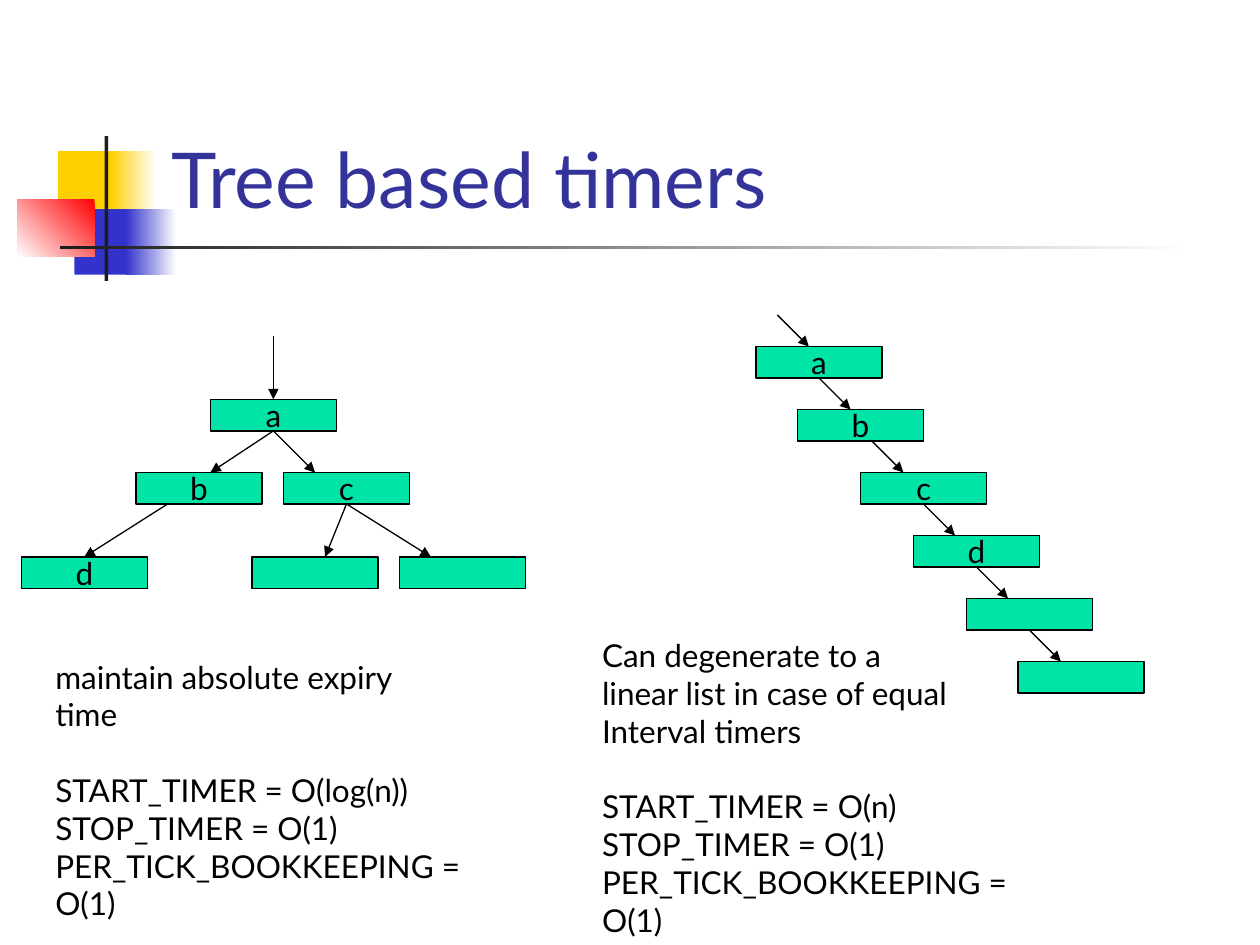
import pptx
import pptx.dml.color
import pptx.enum.shapes
import pptx.enum.text
import pptx.oxml
import pptx.oxml.ns
import pptx.util
from pptx.util import Inches

RGBColor = pptx.dml.color.RGBColor
WHITE = RGBColor(0xFF, 0xFF, 0xFF)
BLACK = RGBColor(0x00, 0x00, 0x00)
YELLOW = RGBColor(0xFF, 0xCF, 0x01)
BLUE = RGBColor(0x33, 0x33, 0xCC)
RED = RGBColor(0xFF, 0x00, 0x00)
CHARCOAL = RGBColor(0x1C, 0x1C, 0x1C)
TITLE_BLUE = RGBColor(0x33, 0x33, 0x99)
NODE_GREEN = RGBColor(0x00, 0xE4, 0xA8)

FONT = "Lato"
TEXT_SIZE = pptx.util.Pt(18)
LINE_WIDTH = pptx.util.Pt(0.75)
BLANK_LINE = pptx.util.Pt(21.6)
NODE_WIDTH, NODE_HEIGHT = 1, 0.25


def set_font(paragraph, size, color):
    paragraph.font.name = FONT
    paragraph.font.size = size
    paragraph.font.color.rgb = color


def add_rectangle(slide, left, top, width, height):
    rectangle = slide.shapes.add_shape(
        pptx.enum.shapes.MSO_SHAPE.RECTANGLE,
        Inches(left), Inches(top), Inches(width), Inches(height))
    rectangle.shadow.inherit = False
    return rectangle


def add_ornament(slide, left, top):
    """Overlapping squares and crossing bars beside the title."""
    parts = [  # x, y, width, height, start colour, end colour, angle
        (0.32, 0.12, 0.48, 0.52, YELLOW, None, None),
        (0.74, 0.12, 0.36, 0.52, WHITE, YELLOW, 180),
        (0.45, 0.58, 0.46, 0.52, BLUE, None, None),
        (0.86, 0.58, 0.40, 0.52, WHITE, BLUE, 180),
        (0.00, 0.50, 0.61, 0.46, RED, WHITE, 225),
        (0.69, 0.00, 0.03, 1.15, CHARCOAL, None, None),
        (0.34, 0.87, 9.00, 0.03, WHITE, CHARCOAL, 180),
    ]
    for x, y, width, height, start, end, angle in parts:
        part = add_rectangle(slide, left + x, top + y, width, height)
        part.line.fill.background()
        if end is None:
            part.fill.solid()
            part.fill.fore_color.rgb = start
        else:
            part.fill.gradient()
            part.fill.gradient_angle = angle
            for stop, color in zip(part.fill.gradient_stops, (start, end)):
                stop.color.rgb = color


def add_title(slide, left, top, width, height):
    title = slide.shapes.title
    title.left, title.top = Inches(left), Inches(top)
    title.width, title.height = Inches(width), Inches(height)
    frame = title.text_frame
    frame.text = "Tree based timers"
    frame.vertical_anchor = pptx.enum.text.MSO_ANCHOR.BOTTOM
    frame.paragraphs[0].alignment = pptx.enum.text.PP_ALIGN.LEFT
    set_font(frame.paragraphs[0], pptx.util.Pt(44), TITLE_BLUE)


def add_node(slide, left, top, label):
    node = add_rectangle(slide, left, top, NODE_WIDTH, NODE_HEIGHT)
    node.fill.solid()
    node.fill.fore_color.rgb = NODE_GREEN
    node.line.color.rgb = BLACK
    node.line.width = LINE_WIDTH
    if label:
        frame = node.text_frame
        frame.text = label
        frame.word_wrap = False
        frame.vertical_anchor = pptx.enum.text.MSO_ANCHOR.MIDDLE
        frame.paragraphs[0].alignment = pptx.enum.text.PP_ALIGN.CENTER
        set_font(frame.paragraphs[0], TEXT_SIZE, BLACK)


def add_arrow(slide, x1, y1, x2, y2):
    arrow = slide.shapes.add_connector(
        pptx.enum.shapes.MSO_CONNECTOR.STRAIGHT,
        Inches(x1), Inches(y1), Inches(x2), Inches(y2))
    arrow.line.color.rgb = BLACK
    arrow.line.width = LINE_WIDTH
    head = pptx.oxml.parse_xml(
        f'<a:tailEnd {pptx.oxml.ns.nsdecls("a")} type="triangle"/>')
    arrow.line._get_or_add_ln().append(head)
    effects = pptx.oxml.parse_xml(
        f'<a:effectLst {pptx.oxml.ns.nsdecls("a")}/>')
    arrow._element.spPr.append(effects)


def add_balanced_tree(slide, left, top):
    root_y, middle_y, leaf_y = 0.5, 1.08, 1.75
    nodes = [(1.5, root_y, "a"), (0.91, middle_y, "b"), (2.08, middle_y, "c"),
             (1.83, leaf_y, ""), (3, leaf_y, ""), (0, leaf_y, "d")]
    for x, y, label in nodes:
        add_node(slide, left + x, top + y, label)

    root_bottom, middle_bottom = root_y + NODE_HEIGHT, middle_y + NODE_HEIGHT
    branches = [(2, root_bottom, 2.33, middle_y),
                (2, root_bottom, 1.5, middle_y),
                (2.58, middle_bottom, 2.41, leaf_y),
                (2.58, middle_bottom, 3.25, leaf_y),
                (1.16, middle_bottom, 0.5, leaf_y),
                (2, 0, 2, root_y)]
    for x1, y1, x2, y2 in branches:
        add_arrow(slide, left + x1, top + y1, left + x2, top + y2)


def add_degenerate_tree(slide, left, top):
    """Descending chain, each node entered by a diagonal arrow."""
    row_step, arrow_reach = 0.5, 0.25
    chain = [("a", 0, 0.17), ("b", 0.33, 0.5), ("c", 0.83, 0.92),
             ("d", 1.25, 1.33), ("", 1.67, 1.75), ("", 2.08, 2.17)]
    for row, (label, node_x, arrow_x) in enumerate(chain):
        y = top + row * row_step
        add_node(slide, left + node_x, y + arrow_reach, label)
        add_arrow(slide, left + arrow_x, y,
                  left + arrow_x + arrow_reach, y + arrow_reach)


def add_notes_on_cost(slide, left, top, width, height, remark, start_cost):
    box = slide.shapes.add_textbox(
        Inches(left), Inches(top), Inches(width), Inches(height))
    frame = box.text_frame
    frame.word_wrap = True
    costs = [f"START_TIMER = {start_cost}", "STOP_TIMER = O(1)",
             "PER_TICK_BOOKKEEPING = O(1)"]
    frame.text = "\n".join(remark + costs)
    for paragraph in frame.paragraphs:
        set_font(paragraph, TEXT_SIZE, BLACK)
    frame.paragraphs[len(remark)].space_before = BLANK_LINE


def main():
    presentation = pptx.Presentation()
    presentation.slide_width = Inches(10)
    presentation.slide_height = Inches(7.5)
    slide = presentation.slides.add_slide(presentation.slide_layouts[5])

    add_ornament(slide, 0.14, 1.08)
    add_title(slide, 1.26, 0.23, 8.52, 1.6)
    add_balanced_tree(slide, 0.17, 2.67)
    add_degenerate_tree(slide, 6, 2.5)
    add_notes_on_cost(slide, 0.34, 5.17, 3.91, 1.9,
                      ["maintain absolute expiry", "time"], "O(log(n))")
    add_notes_on_cost(slide, 4.68, 5, 3.91, 2.2,
                      ["Can degenerate to a", "linear list in case of equal",
                       "Interval timers"], "O(n)")
    presentation.save("out.pptx")


if __name__ == "__main__":
    main()
